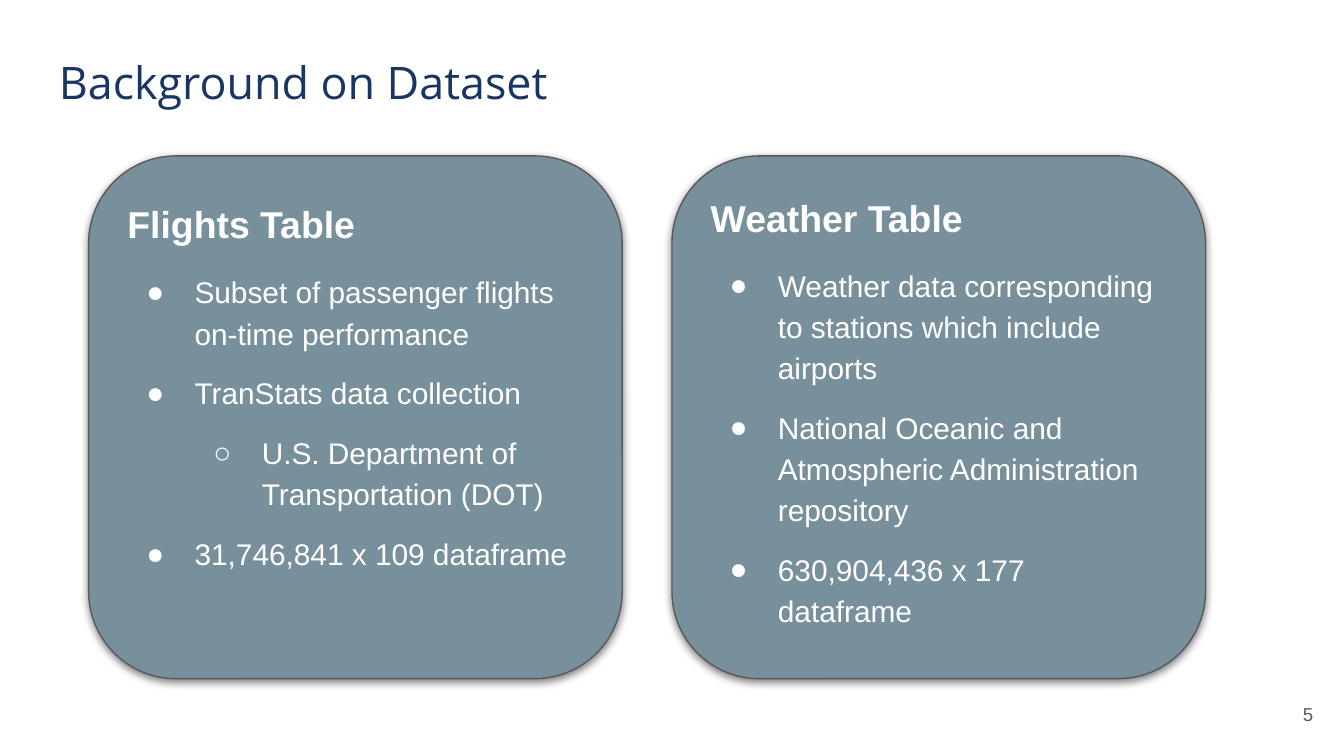
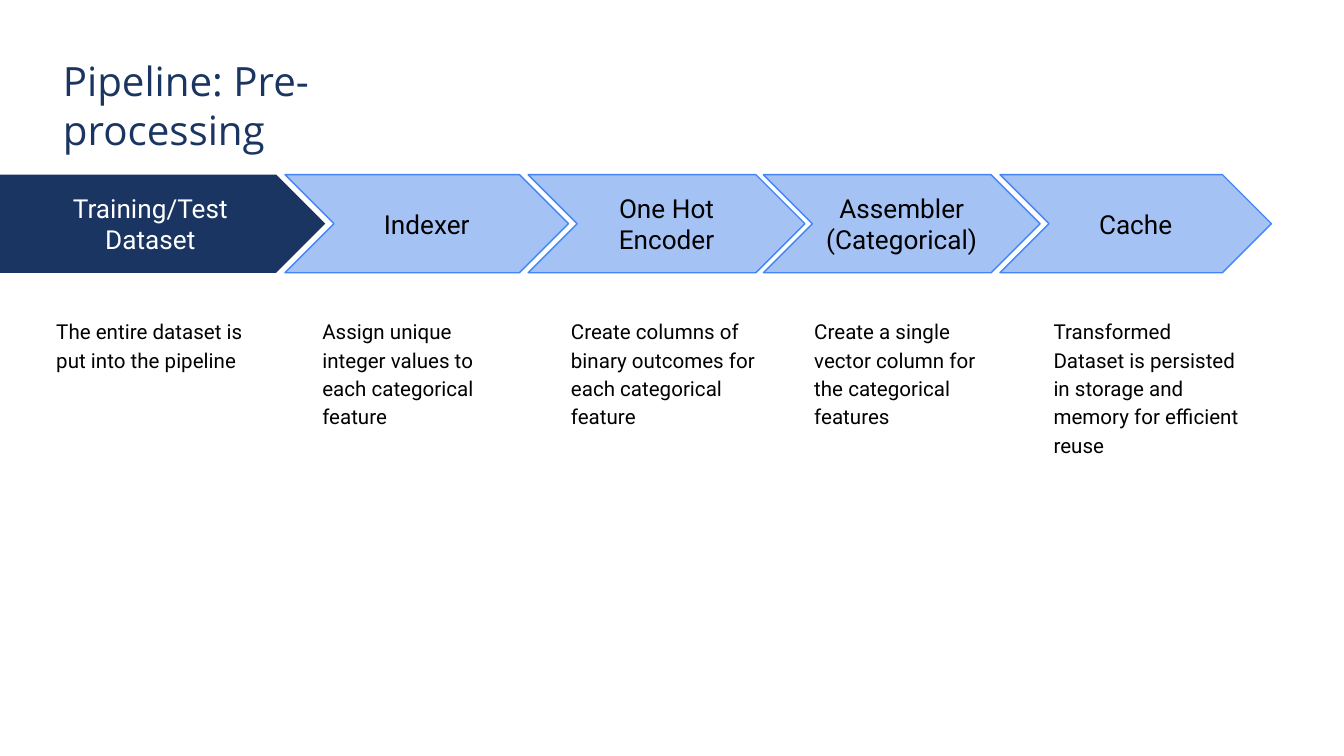
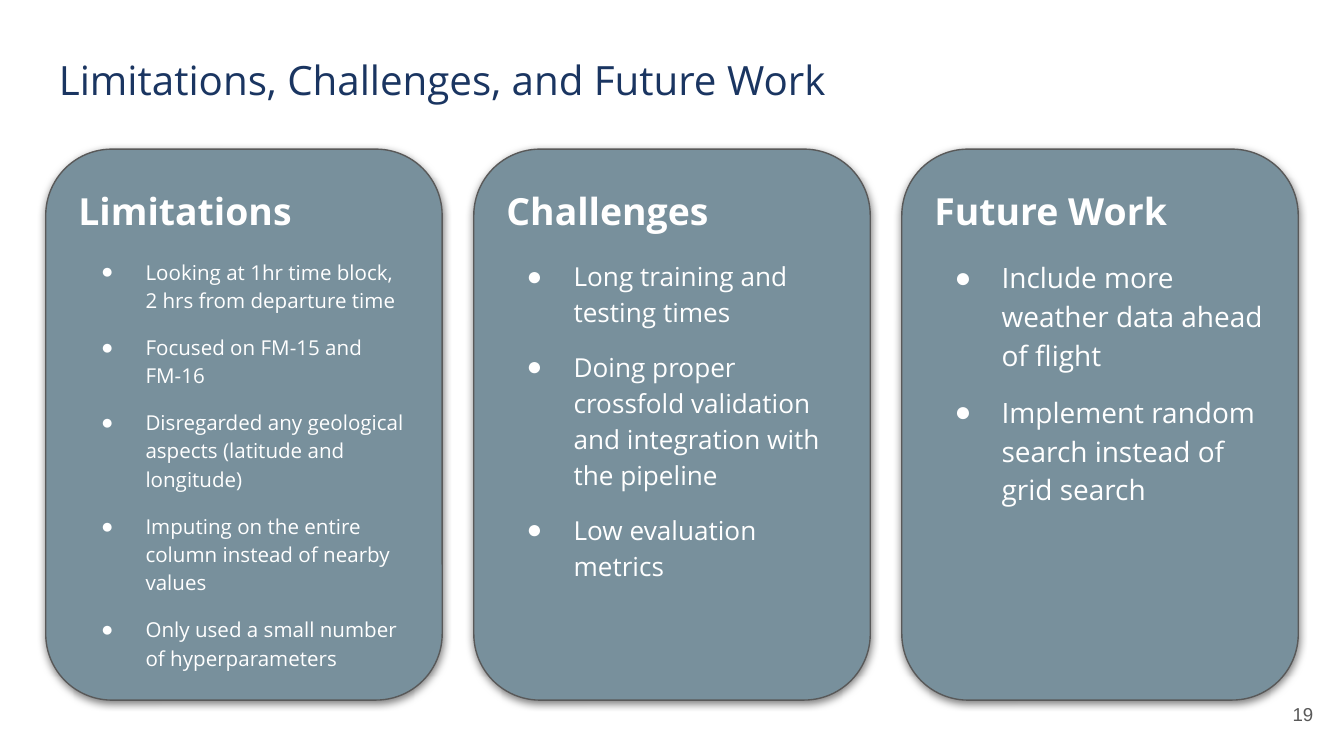
import copy

import pptx
import pptx.dml.color
import pptx.enum.shapes
import pptx.enum.text
import pptx.oxml
import pptx.oxml.ns
import pptx.util
from pptx.util import Inches

NAVY, SLATE, GRAY = "1A3561", "78909C", "595959"
SKY, BLUE, WHITE, BLACK = "A4C2F4", "4285F4", "FFFFFF", "000000"
SANS, HEAD, BODY = "Arial", "Open Sans", "Roboto"
SHAPE = pptx.enum.shapes.MSO_SHAPE
ALIGN = pptx.enum.text.PP_ALIGN
ANCHOR = pptx.enum.text.MSO_ANCHOR
qn = pptx.oxml.ns.qn
NS = pptx.oxml.ns.nsdecls("a")

SHADOW = (
    f'<a:effectLst {NS}><a:outerShdw blurRad="57150" dist="19050" dir="5400000" '
    'algn="bl" rotWithShape="0"><a:srgbClr val="000000"><a:alpha val="50000"/>'
    "</a:srgbClr></a:outerShdw></a:effectLst>"
)


def color(code):
    return pptx.dml.color.RGBColor.from_string(code)


def set_bullet(para, mark, tint, left, hang):
    props = para._p.get_or_add_pPr()
    props.set("marL", str(Inches(left)))
    props.set("indent", str(-Inches(hang)))
    for part in (
        f'<a:buClr {NS}><a:srgbClr val="{tint}"/></a:buClr>',
        f'<a:buFont {NS} typeface="{SANS}"/>',
        f'<a:buChar {NS} char="{mark}"/>',
    ):
        props.append(pptx.oxml.parse_xml(part))


def write(box, text, size=11, font=SANS, tint=BLACK, bold=False, align=None,
          line=None, before=None, mark=None, left=0.5, hang=0.36):
    """Add one paragraph to a shape, using its empty first one if there is one."""
    frame = box.text_frame
    para = frame.paragraphs[0]
    if para.runs:
        para = frame.add_paragraph()
    para.text = text
    para.alignment = align or ALIGN.LEFT
    if line:
        para.line_spacing = line
    if before:
        para.space_before = pptx.util.Pt(before)
    if mark:
        set_bullet(para, mark, tint, left, hang)
    for run in para.runs:
        run.font.size = pptx.util.Pt(size)
        run.font.name = font
        run.font.bold = bold
        run.font.color.rgb = color(tint)
    for brk in para._p.findall(qn("a:br")):
        brk.append(copy.deepcopy(para.runs[0]._r.rPr))


def set_frame(box, anchor=ANCHOR.TOP):
    frame = box.text_frame
    frame.word_wrap = True
    frame.vertical_anchor = anchor
    frame.margin_left = frame.margin_right = Inches(0.1)
    frame.margin_top = frame.margin_bottom = Inches(0.1)


def add_text(shapes, left, top, width, height, text, anchor=ANCHOR.TOP, **form):
    box = shapes.add_textbox(
        Inches(left), Inches(top), Inches(width), Inches(height))
    set_frame(box, anchor)
    write(box, text, **form)


def add_form(shapes, kind, left, top, width, height, fill=None, edge=None,
             anchor=ANCHOR.TOP):
    form = shapes.add_shape(
        kind, Inches(left), Inches(top), Inches(width), Inches(height))
    form.shadow.inherit = False
    if fill:
        form.fill.solid()
        form.fill.fore_color.rgb = color(fill)
    else:
        form.fill.background()
    if edge:
        form.line.color.rgb = color(edge)
        form.line.width = pptx.util.Pt(0.75)
    else:
        form.line.fill.background()
    set_frame(form, anchor)
    return form


def add_title(slide, text, left=0.34, top=0.31, width=9.38, size=21.6):
    add_text(slide.shapes, left, top, width, 0.94, text,
             size=size, font=HEAD, tint=NAVY)


def add_number(slide, num):
    add_text(slide.shapes, 9.27, 5.1, 0.6, 0.43, str(num), ANCHOR.MIDDLE,
             size=10, tint=GRAY, align=ALIGN.RIGHT)


def add_card(slide, place, head, items, font, size, hang, line=1.15):
    """Draw a rounded card; an item in a tuple is a second-level bullet."""
    card = add_form(slide.shapes, SHAPE.ROUNDED_RECTANGLE, *place, SLATE, GRAY)
    card.adjustments[0] = 0.167
    props = card._element.spPr
    props.replace(props.find(qn("a:effectLst")), pptx.oxml.parse_xml(SHADOW))
    write(card, head, size=20, font=font, tint=WHITE, bold=True, line=line)
    for num, item in enumerate(items):
        sub = isinstance(item, tuple)
        write(card, item[0] if sub else item, size=size, font=font, tint=WHITE,
              line=1.15, before=10 if num else 12, mark="○" if sub else "●",
              left=1 if sub else 0.5, hang=hang)


def add_step(slide, name, note, left, width, start, span, first=False):
    """Draw one arrow of the pipeline with its note below, as a group."""
    shapes = slide.shapes.add_group_shape().shapes
    kind, fill, edge, tint = (
        (SHAPE.PENTAGON, NAVY, None, WHITE) if first
        else (SHAPE.CHEVRON, SKY, BLUE, BLACK))
    arrow = add_form(shapes, kind, left, 1.3, width, 0.73, fill, edge,
                     ANCHOR.MIDDLE)
    write(arrow, name, size=14, font=BODY, tint=tint, align=ALIGN.CENTER)
    place = (start, 2.25, span, 2.57)
    if first:
        add_text(shapes, *place, note, font=BODY, line=1.15)
    else:
        box = add_form(shapes, SHAPE.RECTANGLE, *place, edge=WHITE)
        write(box, note, font=BODY, line=1.15)


def build_data(slide):
    add_title(slide, "Background on Dataset", width=5, size=24)
    cards = [
        ("Flights Table", 1.15, [
            "Subset of passenger flights on-time performance",
            "TranStats data collection",
            ("U.S. Department of Transportation (DOT)",),
            "31,746,841 x 109 dataframe"]),
        ("Weather Table", None, [
            "Weather data corresponding to stations which include airports",
            "National Oceanic and Atmospheric Administration repository",
            "630,904,436 x 177 dataframe"]),
    ]
    for col, (head, line, items) in enumerate(cards):
        place = (0.66 + 4.34 * col, 1.16, 3.97, 3.89)
        add_card(slide, place, head, items, SANS, 16, 0.36, line)
    add_number(slide, 5)


def build_steps(slide):
    add_title(slide, "Pipeline: Pre-processing", 0.37, 0.32, 3.33)
    steps = [
        ("Training/Test\vDataset", "The entire dataset is put into the pipeline",
         0, 2.42, 0.32, 1.78),
        ("Indexer", "Assign unique integer values to each categorical feature",
         2.12, 2.11, 2.3, 1.66),
        ("One Hot Encoder",
         "Create columns of binary outcomes for each categorical feature",
         3.93, 2.06, 4.15, 1.77),
        ("Assembler (Categorical)",
         "Create a single vector column for the categorical features",
         5.68, 2.06, 5.96, 1.62),
        ("Cache",
         "Transformed Dataset is persisted in storage and memory "
         "for efficient reuse",
         7.44, 2.02, 7.74, 1.59),
    ]
    for num, step in enumerate(steps):
        add_step(slide, *step, first=num == 0)


def build_limits(slide):
    add_title(slide, "Limitations, Challenges, and Future Work")
    cards = [
        ("Limitations", 11, 0.33, [
            "Looking at 1hr time block, 2 hrs from departure time",
            "Focused on FM-15 and FM-16",
            "Disregarded any geological aspects (latitude and longitude)",
            "Imputing on the entire column instead of nearby values",
            "Only used a small number of hyperparameters"]),
        ("Challenges", 14, 0.35, [
            "Long training and testing times",
            "Doing proper crossfold validation and integration with the pipeline",
            "Low evaluation metrics"]),
        ("Future Work", 15, 0.35, [
            "Include more weather data ahead of flight",
            "Implement random search instead of grid search"]),
    ]
    step = (6.71 - 0.34) / 2
    for col, (head, size, hang, items) in enumerate(cards):
        place = (0.34 + step * col, 1.11, 2.95, 4.1)
        add_card(slide, place, head, items, HEAD, size, hang)
    add_number(slide, 19)


def main():
    deck = pptx.Presentation()
    deck.slide_width = Inches(10)
    deck.slide_height = deck.slide_width * 9 // 16
    for build in (build_data, build_steps, build_limits):
        build(deck.slides.add_slide(deck.slide_layouts[6]))
    deck.save("out.pptx")


if __name__ == "__main__":
    main()
